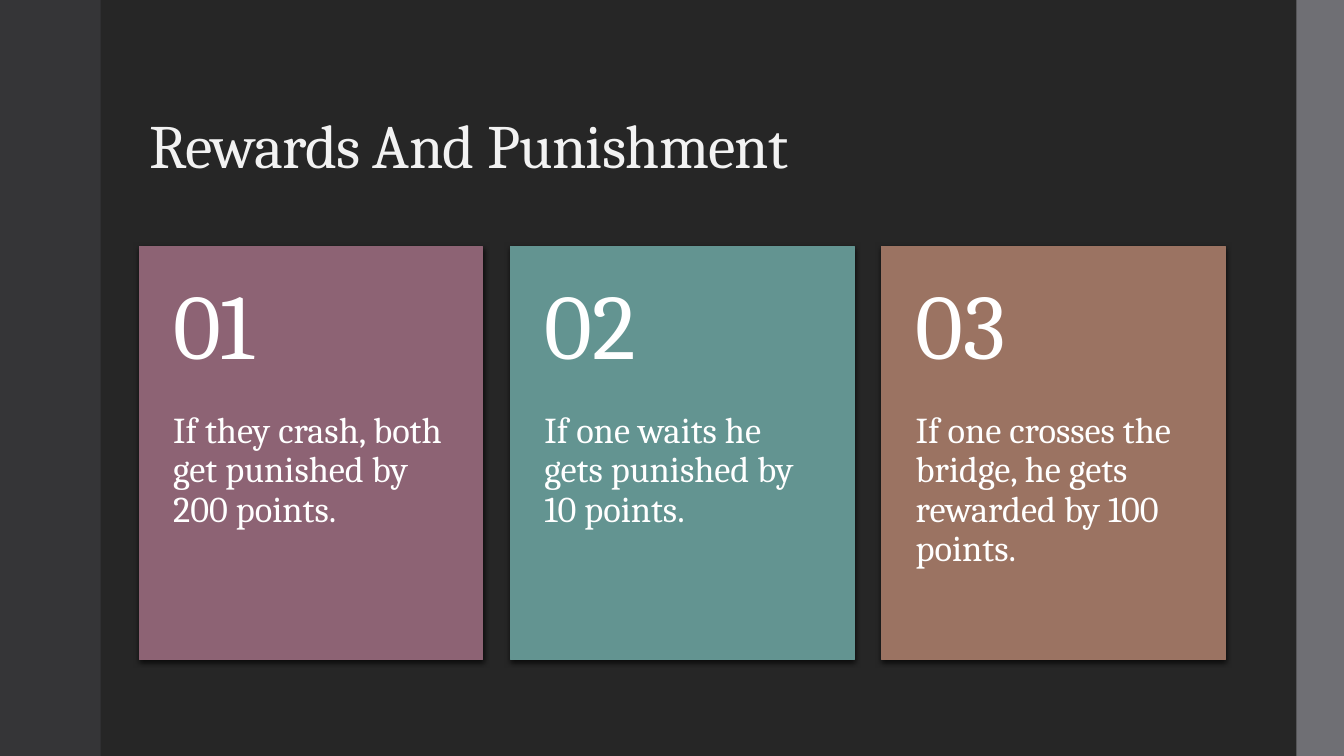
from lxml import etree
from pptx import Presentation
from pptx.dml.color import RGBColor
from pptx.enum import shapes, text
from pptx.oxml import ns
from pptx.util import Pt

# Content
TITLE = "Rewards And Punishment"
CARDS = [
    ("01", "If they crash, both get punished by 200 points.", RGBColor(0x8D, 0x63, 0x74)),
    ("02", "If one waits he gets punished by 10 points.", RGBColor(0x63, 0x94, 0x91)),
    ("03", "If one crosses the bridge, he gets rewarded by 100 points.", RGBColor(0x9B, 0x73, 0x62)),
]

# Style
FONT = "Cambria"
DARK = RGBColor(0x26, 0x26, 0x26)
SIDE = RGBColor(0x35, 0x35, 0x37)
EDGE = RGBColor(0x6F, 0x6F, 0x74)
PALE = RGBColor(0xF2, 0xF2, 0xF2)
WHITE = RGBColor(0xFF, 0xFF, 0xFF)

# Layout, in points
WIDE, HIGH = 960, 540
LEFT, TOP = 99.4, 176.4
CARD_W, CARD_H, STEP = 245.6, 294.8, 265.2
HEAD_H = 118
PAD = 24.3


def add_rect(x, y, w, h, color):
    rect = slide.shapes.add_shape(
        shapes.MSO_SHAPE.RECTANGLE, Pt(x), Pt(y), Pt(w), Pt(h))
    rect.shadow.inherit = False
    rect.fill.solid()
    rect.fill.fore_color.rgb = color
    rect.line.fill.background()
    return rect


def add_shade(shape):
    effects = shape._element.spPr.find(ns.qn("a:effectLst"))
    shade = etree.SubElement(effects, ns.qn("a:outerShdw"), blurRad=str(Pt(4)),
                             dist=str(Pt(1.2)), dir="5400000", rotWithShape="0")
    black = etree.SubElement(shade, ns.qn("a:srgbClr"), val="000000")
    etree.SubElement(black, ns.qn("a:alpha"), val="75000")


def set_text(frame, words, size, color, anchor):
    frame.text = words
    frame.word_wrap = True
    frame.auto_size = text.MSO_AUTO_SIZE.NONE
    frame.vertical_anchor = anchor
    para = frame.paragraphs[0]
    para.alignment = text.PP_ALIGN.LEFT
    para.line_spacing = 0.9
    font = para.runs[0].font
    font.name, font.size, font.color.rgb = FONT, Pt(size), color


def add_label(x, y, h, words, size, anchor, above, below):
    box = slide.shapes.add_textbox(Pt(x), Pt(y), Pt(CARD_W), Pt(h))
    frame = box.text_frame
    set_text(frame, words, size, WHITE, anchor)
    frame.margin_left = frame.margin_right = Pt(PAD)
    frame.margin_top, frame.margin_bottom = Pt(above), Pt(below)


# Slide and side bands
deck = Presentation()
deck.slide_width, deck.slide_height = Pt(WIDE), Pt(HIGH)
slide = deck.slides.add_slide(deck.slide_layouts[5])
slide.background.fill.solid()
slide.background.fill.fore_color.rgb = DARK
add_rect(0, 0, 72, HIGH, SIDE)
add_rect(926, 0, WIDE - 926, HIGH, EDGE)

# Title
title = slide.shapes.title
title.left, title.top = Pt(LEFT), Pt(28.8)
title.width, title.height = Pt(776), Pt(104.4)
set_text(title.text_frame, TITLE, 44, PALE, text.MSO_ANCHOR.BOTTOM)
title.text_frame.paragraphs[0].runs[0].font._element.set("spc", "-50")

# Cards
for i, (number, rule, color) in enumerate(CARDS):
    x = LEFT + i * STEP
    card = add_rect(x, TOP, CARD_W, CARD_H, color)
    card.line.color.rgb = color
    card.line.width = Pt(0.75)
    add_shade(card)
    add_label(x, TOP + HEAD_H, CARD_H - HEAD_H, rule, 26,
              text.MSO_ANCHOR.TOP, 0, 26)
    add_label(x, TOP, HEAD_H, number, 66, text.MSO_ANCHOR.MIDDLE, 13, 13)

deck.save("out.pptx")
